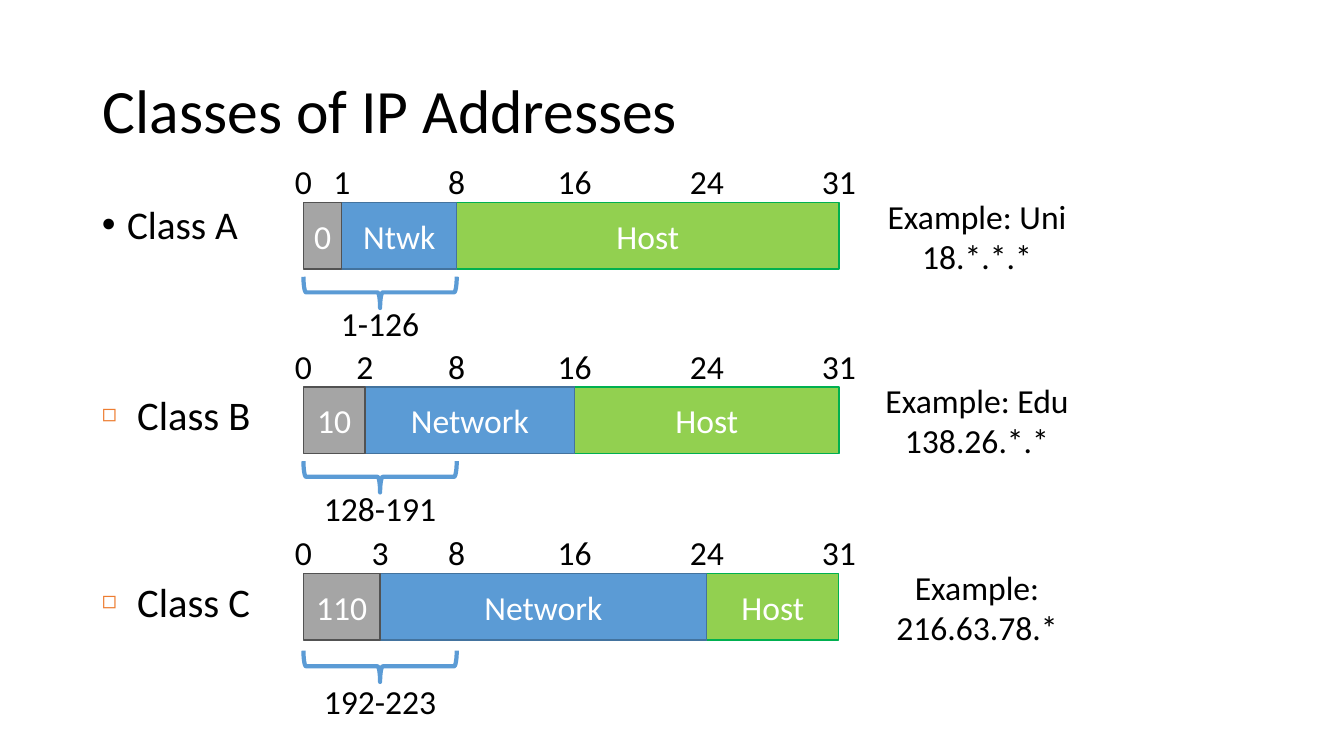
import dataclasses

import pptx
import pptx.dml.color
import pptx.enum.shapes
import pptx.enum.text
import pptx.oxml
import pptx.oxml.ns
import pptx.util

Inches, Pt = pptx.util.Inches, pptx.util.Pt
RGB = pptx.dml.color.RGBColor.from_string
ALIGN = pptx.enum.text.PP_ALIGN
ANCHOR = pptx.enum.text.MSO_ANCHOR
FIT = pptx.enum.text.MSO_AUTO_SIZE
SHAPE = pptx.enum.shapes.MSO_SHAPE


@dataclasses.dataclass(frozen=True)
class Theme:
    font: str = "Calibri"
    title: int = 44
    text: int = 24
    ink: str = "000000"
    paper: str = "FFFFFF"
    brace: str = "5B9BD5"
    bullet: str = "ED7D31"
    # (fill, outline) of the prefix, network and host fields
    fields: tuple = (("A5A5A5", "525252"), ("5B9BD5", "43739E"), ("92D050", "00B050"))


@dataclasses.dataclass(frozen=True)
class Bullet:
    char: str
    indent: float
    size: int
    line: float
    before: int
    colour: str = ""
    percent: int = 100


@dataclasses.dataclass(frozen=True)
class AddressClass:
    name: str
    top: float
    fields: tuple    # prefix, network, host
    bounds: tuple    # bits where the fields start and end
    first_byte: str
    example: tuple
    bullet: Bullet
    brace_dy: float = 0.89
    range_dy: float = 0.95


THEME = Theme()
DOT = Bullet("•", 0.25, 28, 0.9, 10)
SQUARE = Bullet("◻", 0.35, 29, 1.0, 7, THEME.bullet, 60)

# Horizontal place of each bit number
BIT_X = {0: 3.01, 1: 3.39, 2: 3.62, 3: 3.77, 8: 4.53, 16: 5.7, 24: 7.01, 31: 8.32}
BAR_H = 0.66
TICK_W = 0.65
EXAMPLE_X = 9.69

CLASSES = (
    AddressClass("Class A", 2.01, ("0", "Ntwk", "Host"), (0, 1, 8, 31),
                 "1-126", ("Example: Uni", "18.*.*.*"), DOT),
    AddressClass("Class B", 3.84, ("10", "Network", "Host"), (0, 2, 16, 31),
                 "128-191", ("Example: Edu", "138.26.*.*"), SQUARE),
    AddressClass("Class C", 5.69, ("110", "Network", "Host"), (0, 3, 24, 31),
                 "192-223", ("Example:", "216.63.78.*"), SQUARE, 0.92, 1.02),
)


def place(sp, left, top, width, height):
    sp.left, sp.top = Inches(left), Inches(top)
    sp.width, sp.height = Inches(width), Inches(height)


def write(p, text, size, colour, align):
    p.alignment = align
    r = p.add_run()
    r.text = text
    r.font.name, r.font.size, r.font.bold = THEME.font, Pt(size), False
    r.font.color.rgb = RGB(colour)


def add_title(slide, text):
    sp = slide.shapes.title
    place(sp, 0.92, 0.4, 11.5, 1.45)
    tf = sp.text_frame
    tf.vertical_anchor = ANCHOR.MIDDLE
    tf.auto_size = FIT.NONE
    tf.paragraphs[0].line_spacing = 0.9
    write(tf.paragraphs[0], text, THEME.title, THEME.ink, ALIGN.LEFT)


def add_bullet(p, bullet):
    p.line_spacing, p.space_before = bullet.line, Pt(bullet.before)
    pPr = p._p.get_or_add_pPr()
    pPr.set("marL", str(Inches(bullet.indent)))
    pPr.set("indent", str(-Inches(bullet.indent)))
    parts = []
    if bullet.colour:
        parts.append('<a:buClr {0}><a:srgbClr val="%s"/></a:buClr>' % bullet.colour)
    parts.append('<a:buSzPct {0} val="%d"/>' % (bullet.percent * 1000))
    parts.append('<a:buChar {0} char="%s"/>' % bullet.char)
    for part in parts:
        pPr.append(pptx.oxml.parse_xml(part.format(pptx.oxml.ns.nsdecls("a"))))


def add_class_name(sp, row):
    place(sp, 0.91, row.top - 0.02, 2.02, 0.59)
    tf = sp.text_frame
    tf.vertical_anchor = ANCHOR.TOP
    tf.auto_size = FIT.NONE
    p = tf.paragraphs[0]
    write(p, row.name, row.bullet.size, THEME.ink, ALIGN.LEFT)
    add_bullet(p, row.bullet)


def add_label(slide, lines, centre, top, width, height, anchor=ANCHOR.TOP):
    sp = slide.shapes.add_textbox(Inches(centre - width / 2), Inches(top),
                                  Inches(width), Inches(height))
    tf = sp.text_frame
    tf.word_wrap = True
    tf.vertical_anchor = anchor
    for i, line in enumerate(lines):
        p = tf.add_paragraph() if i else tf.paragraphs[0]
        write(p, line, THEME.text, THEME.ink, ALIGN.CENTER)


def add_field(slide, text, start, end, top, colours):
    fill, outline = colours
    sp = slide.shapes.add_shape(SHAPE.RECTANGLE, Inches(BIT_X[start]), Inches(top),
                                Inches(BIT_X[end] - BIT_X[start]), Inches(BAR_H))
    sp.shadow.inherit = False
    sp.fill.solid()
    sp.fill.fore_color.rgb = RGB(fill)
    sp.line.color.rgb = RGB(outline)
    sp.line.width = Pt(1)
    tf = sp.text_frame
    tf.vertical_anchor = ANCHOR.MIDDLE
    write(tf.paragraphs[0], text, THEME.text, THEME.paper, ALIGN.CENTER)


def add_brace(slide, start, end, middle):
    # A left brace turned to point down: its height spans the bits
    depth, span = 0.31, BIT_X[end] - BIT_X[start]
    centre = (BIT_X[start] + BIT_X[end]) / 2
    sp = slide.shapes.add_shape(SHAPE.LEFT_BRACE, Inches(centre - depth / 2),
                                Inches(middle - span / 2), Inches(depth), Inches(span))
    sp.rotation = 270
    sp.shadow.inherit = False
    sp.fill.background()
    sp.line.color.rgb = RGB(THEME.brace)
    sp.line.width = Pt(3)
    return centre


def add_address_class(slide, row, name_holder):
    add_class_name(name_holder, row)
    # Host first, so that the prefix outline stays on top
    spans = zip(row.fields, row.bounds, row.bounds[1:], THEME.fields)
    for text, start, end, colours in reversed(list(spans)):
        add_field(slide, text, start, end, row.top, colours)
    # Bit numbers above the bar
    for bit in sorted({*row.bounds, 8, 16, 24}):
        add_label(slide, [str(bit)], BIT_X[bit], row.top - 0.54, TICK_W, BAR_H, ANCHOR.MIDDLE)
    # Range of the first byte, and an example
    centre = add_brace(slide, 0, 8, row.top + row.brace_dy)
    add_label(slide, [row.first_byte], centre, row.top + row.range_dy, 1.44, 0.5)
    add_label(slide, row.example, EXAMPLE_X, row.top - 0.12, 2.28, 0.91)


def main():
    prs = pptx.Presentation()
    prs.slide_width, prs.slide_height = Inches(13.33), Inches(7.5)
    # The comparison layout has a title and four body placeholders
    slide = prs.slides.add_slide(prs.slide_layouts[4])
    add_title(slide, "Classes of IP Addresses")
    holders = list(slide.placeholders)[1:]
    for row, holder in zip(CLASSES, holders):
        add_address_class(slide, row, holder)
    for unused in holders[len(CLASSES):]:
        unused.element.getparent().remove(unused.element)
    prs.save("out.pptx")


if __name__ == "__main__":
    main()
